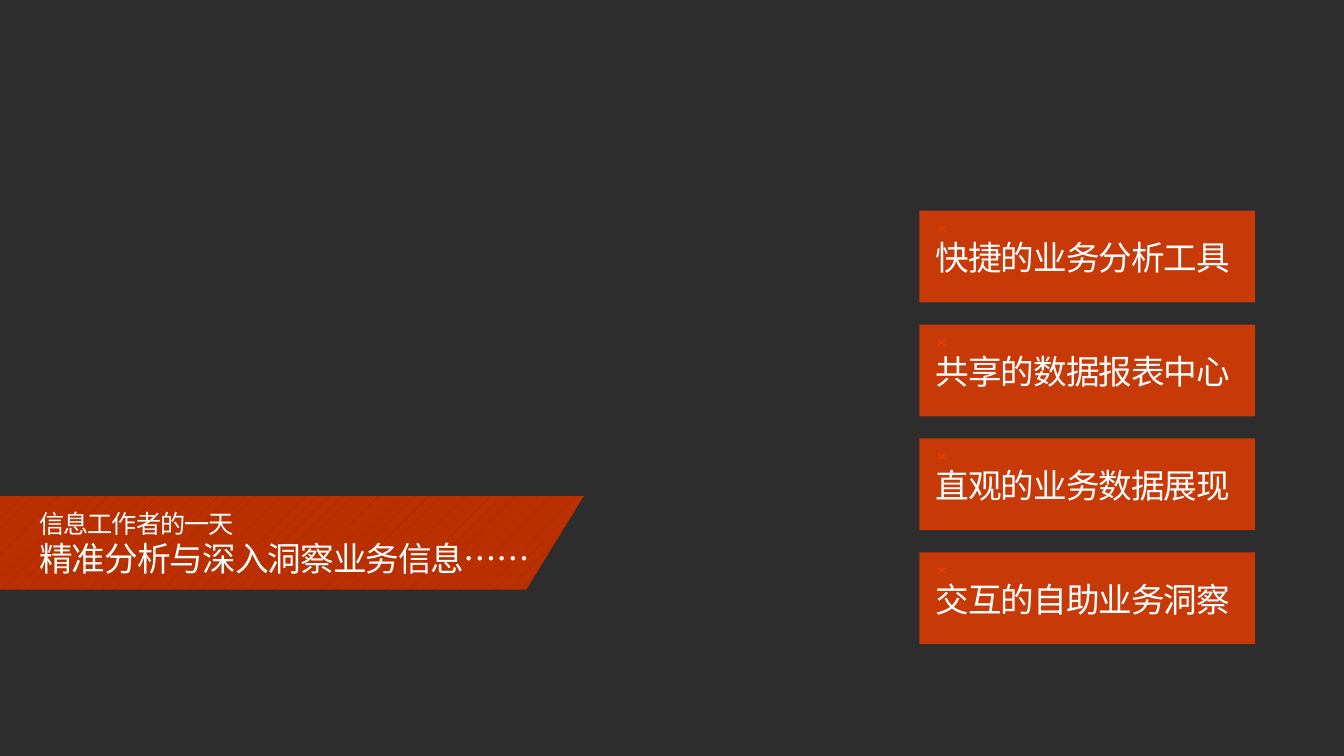
from lxml import etree
from pptx import Presentation
from pptx.dml.color import RGBColor
from pptx.enum.dml import MSO_PATTERN
from pptx.enum.shapes import MSO_SHAPE
from pptx.enum.text import MSO_AUTO_SIZE, PP_ALIGN
from pptx.oxml.ns import qn
from pptx.util import Inches, Pt

RECTANGLE = MSO_SHAPE.RECTANGLE
DIAGONAL = MSO_PATTERN.DARK_UPWARD_DIAGONAL
FIT_TEXT = MSO_AUTO_SIZE.SHAPE_TO_FIT_TEXT
LEFT, CENTER = PP_ALIGN.LEFT, PP_ALIGN.CENTER

CHARCOAL = RGBColor(0x2D, 0x2D, 0x2D)
ORANGE = RGBColor(0xEB, 0x3C, 0x00)
RUST = RGBColor(0xB0, 0x2D, 0x00)
WHITE = RGBColor(0xFF, 0xFF, 0xFF)
FONT_NAME = "Noto Sans CJK SC"

BANNER_OUTLINE = [(0, 4.92), (5.79, 4.92), (5.22, 5.85), (0, 5.85)]
BANNER_LINES = [
    ("精准分析与深入洞察业务信息……", (0.39, 5.34, 4.9, 0.4), 24),
    ("信息工作者的一天", (0.39, 5.04, 1.94, 0.3), 18),
]
CARDS = ["快捷的业务分析工具", "共享的数据报表中心", "直观的业务数据展现", "交互的自助业务洞察"]
CARD_LEFT, CARD_TOP, CARD_WIDTH, CARD_HEIGHT = 9.12, 2.09, 3.33, 0.91
CARD_PITCH = 1.13
CARD_OPACITY = 82
CROSS_WIDTH, CROSS_HEIGHT, CROSS_STROKE = 0.08, 0.06, 0.01
BANNER_FORMAT = {"margin_left": 0, "margin_top": 0, "margin_right": 0, "margin_bottom": 0}


def set_values(target, values):
    for name, value in values.items():
        setattr(target, name, value)


def add_outline(shapes, points):
    corners = [(Inches(x), Inches(y)) for x, y in points]
    builder = shapes.build_freeform(*corners[0])
    builder.add_line_segments(corners[1:], close=True)
    shape = builder.convert_to_shape()
    shape.shadow.inherit = False
    shape.line.fill.background()
    return shape


def fill_solid(shape, color):
    shape.fill.solid()
    shape.fill.fore_color.rgb = color


def add_text(shapes, text, box, size, alignment, frame_format):
    frame = shapes.add_textbox(*map(Inches, box)).text_frame
    set_values(frame, {"word_wrap": False, "auto_size": FIT_TEXT, **frame_format})
    paragraph = frame.paragraphs[0]
    paragraph.alignment = alignment
    run = paragraph.add_run()
    run.text = text
    set_values(run.font, {"size": Pt(size), "name": FONT_NAME})
    run.font.color.rgb = WHITE
    properties = run._r.get_or_add_rPr()
    properties.set("spc", "-70")
    etree.SubElement(properties, qn("a:ea")).set("typeface", FONT_NAME)


def add_cross(shapes, left, top):
    right, bottom = left + CROSS_WIDTH, top + CROSS_HEIGHT
    rising = [
        (left + CROSS_STROKE, bottom),
        (right, top + CROSS_STROKE),
        (right - CROSS_STROKE, top),
        (left, bottom - CROSS_STROKE),
    ]
    falling = [(left + right - x, y) for x, y in rising]
    for points in (rising, falling):
        fill_solid(add_outline(shapes, points), ORANGE)


def add_banner(slide):
    shapes = slide.shapes.add_group_shape().shapes
    banner = add_outline(shapes, BANNER_OUTLINE)
    banner.fill.patterned()
    banner.fill.pattern = DIAGONAL
    banner.fill.fore_color.rgb = ORANGE
    banner.fill.back_color.rgb = RUST
    for text, box, size in BANNER_LINES:
        add_text(shapes, text, box, size, LEFT, BANNER_FORMAT)


def add_card(slide, text, top):
    shapes = slide.shapes.add_group_shape().shapes
    box = (CARD_LEFT, top, CARD_WIDTH, CARD_HEIGHT)
    card = shapes.add_shape(RECTANGLE, *map(Inches, box))
    card.shadow.inherit = False
    card.line.fill.background()
    fill_solid(card, ORANGE)
    color = card._element.spPr.find(qn("a:solidFill"))[0]
    etree.SubElement(color, qn("a:alpha")).set("val", str(CARD_OPACITY * 1000))
    add_cross(shapes, CARD_LEFT + 0.18, top + 0.15)
    add_text(shapes, text, (CARD_LEFT + 0.05, top + 0.21, 3.14, 0.5), 24, CENTER, {})


def main():
    presentation = Presentation()
    set_values(presentation, {"slide_width": Inches(13.33), "slide_height": Inches(7.5)})
    slide = presentation.slides.add_slide(presentation.slide_layouts[6])
    fill_solid(slide.background, CHARCOAL)
    add_banner(slide)
    for index, text in enumerate(CARDS):
        add_card(slide, text, CARD_TOP + index * CARD_PITCH)
    presentation.save("out.pptx")


if __name__ == "__main__":
    main()
